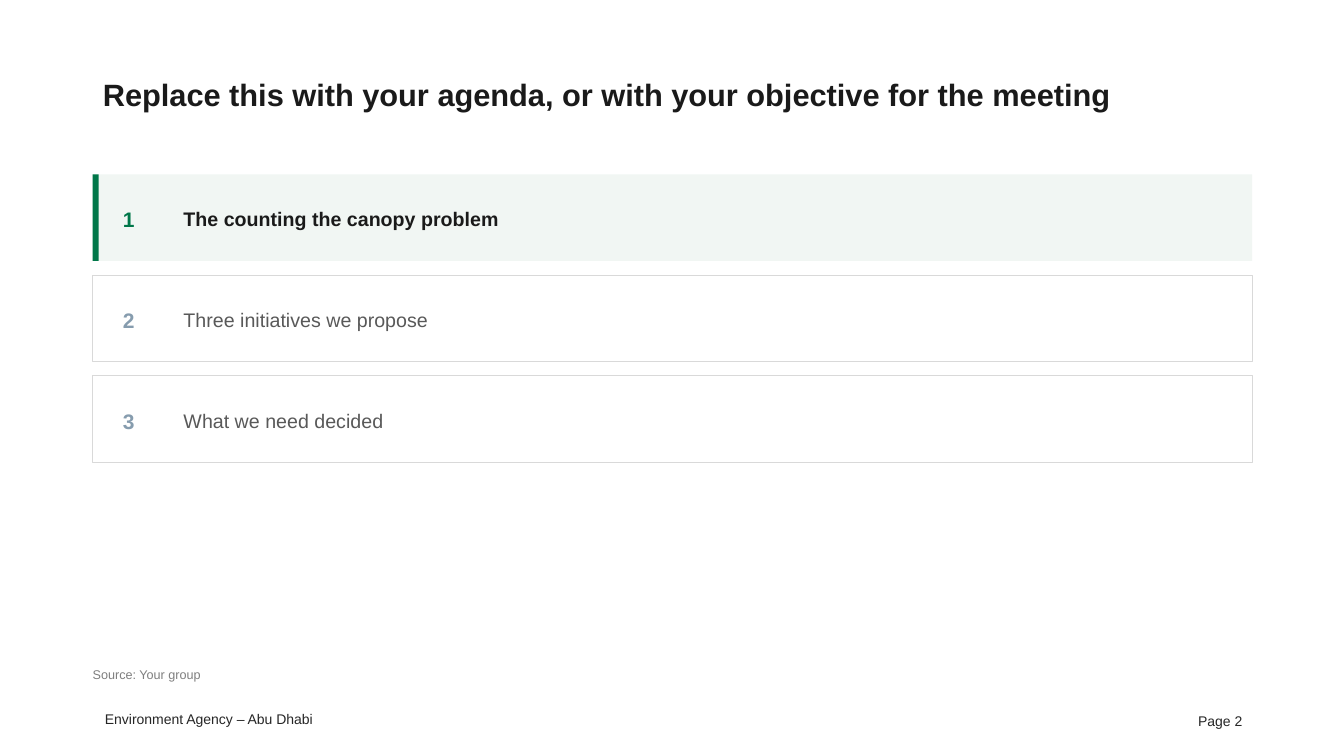
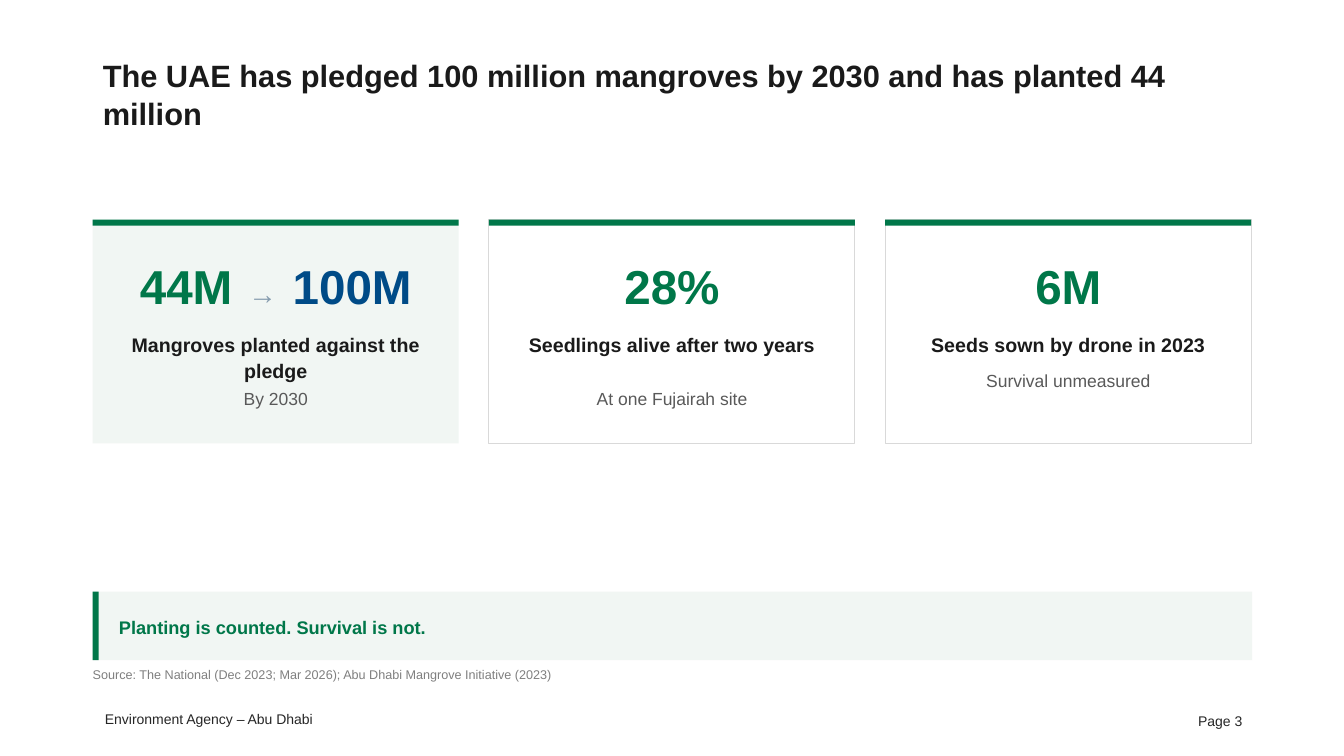
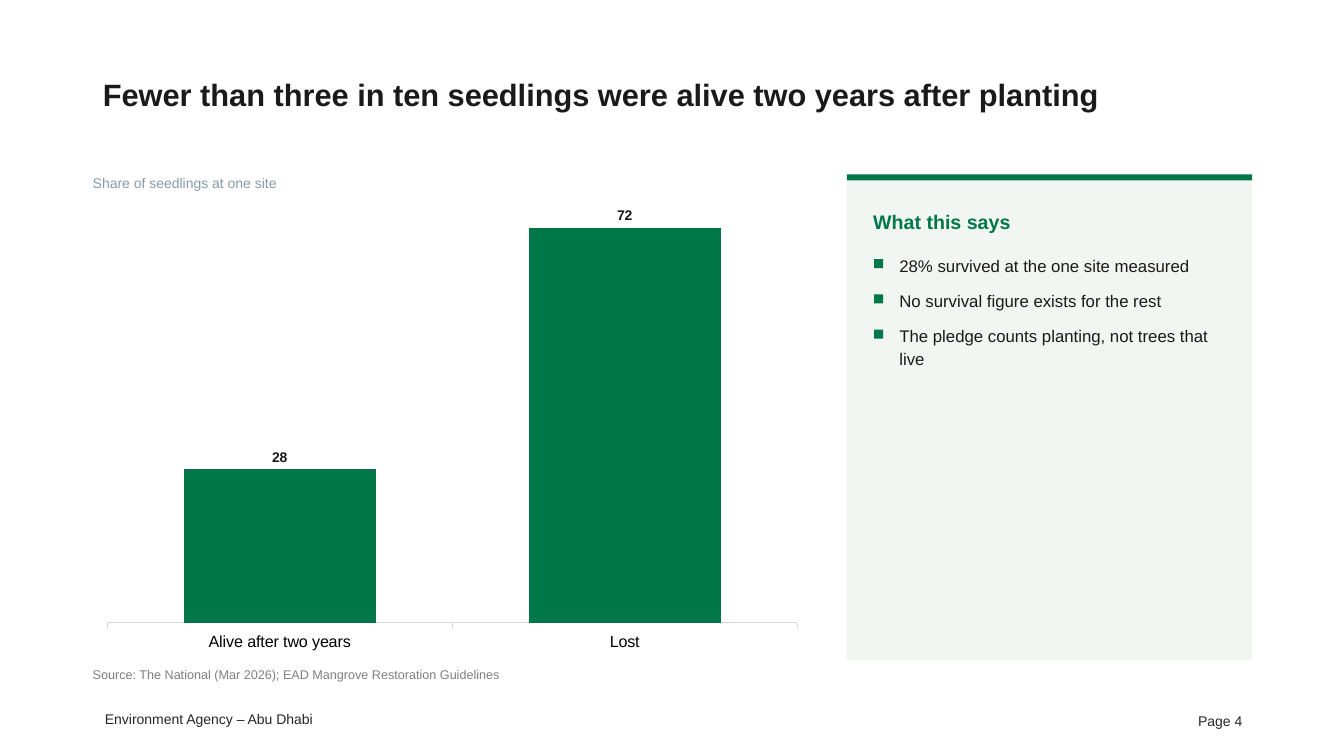
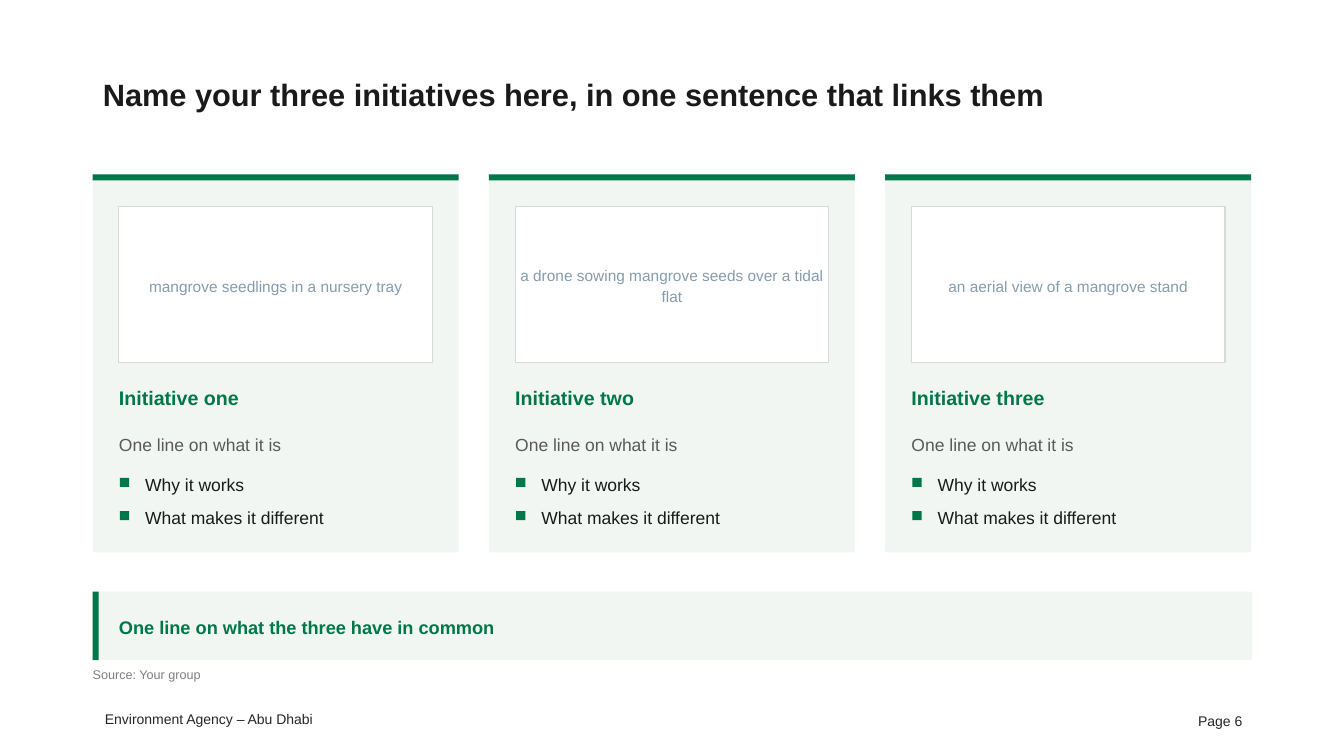
from collections.abc import Sequence
from dataclasses import dataclass
from typing import NamedTuple

from pptx import Presentation
from pptx.chart.data import CategoryChartData
from pptx.dml.color import RGBColor
from pptx.enum.chart import XL_CHART_TYPE, XL_LABEL_POSITION, XL_TICK_LABEL_POSITION, XL_TICK_MARK
from pptx.enum.shapes import MSO_SHAPE
from pptx.enum.text import MSO_ANCHOR, PP_ALIGN
from pptx.presentation import Presentation as Deck
from pptx.slide import Slide
from pptx.text.text import TextFrame
from pptx.util import Emu, Pt

EMU_PER_PX = 9144  # 100 px to the inch


@dataclass(frozen=True)
class Theme:
    font: str = "Arial"
    # Colours
    green: str = "007749"
    blue: str = "004B87"
    tint: str = "F1F6F3"
    white: str = "FFFFFF"
    black: str = "000000"
    ink: str = "1A1A1A"
    footer_ink: str = "262626"
    grey: str = "595959"
    source_grey: str = "7F7F7F"
    slate: str = "869CAE"
    rule: str = "D9D9D9"
    # Type sizes in points
    title: float = 22
    figure: float = 34
    arrow: float = 20.4
    number: float = 15
    heading: float = 14
    takeaway: float = 13
    body: float = 12.5
    point: float = 12
    category: float = 11.5
    caption: float = 11
    small: float = 10
    source: float = 9


THEME = Theme()


class Box(NamedTuple):
    left: int
    top: int
    width: int
    height: int

    def emu(self) -> tuple[Emu, ...]:
        return tuple(Emu(length * EMU_PER_PX) for length in self)


class Run(NamedTuple):
    text: str
    color: str
    size: float
    bold: bool
    tracking: int = 0  # hundredths of a point


class AgendaItem(NamedTuple):
    text: str
    current: bool = False


class Stat(NamedTuple):
    figure: str | tuple[Run, ...]
    label: str
    note: str
    label_height: int
    highlighted: bool = False


class Initiative(NamedTuple):
    name: str
    picture_hint: str


# Shared layout
LEFT, WIDTH = 92, 1150
BODY_TOP, BODY_HEIGHT = 173, 482
ACCENT = 6
PADDING = 26
CARD_GAP = 30
CARD_WIDTH = (WIDTH - 2 * CARD_GAP) // 3


def rgb(color: str) -> RGBColor:
    return RGBColor.from_string(color)


def write(frame: TextFrame, content: Sequence[str | tuple[Run, ...]], *,
          size: float = THEME.body, color: str = THEME.ink, bold: bool = False,
          align: PP_ALIGN = PP_ALIGN.LEFT, anchor: MSO_ANCHOR = MSO_ANCHOR.TOP,
          line_spacing: float = 1.12, after: float = 3,
          inset: tuple[int, int] = (0, 0), wrap: bool = True) -> None:
    """Fill a frame with one paragraph per item; inset is (sides, top and bottom)."""
    frame.word_wrap = wrap
    frame.vertical_anchor = anchor
    frame.margin_left = frame.margin_right = Emu(inset[0] * EMU_PER_PX)
    frame.margin_top = frame.margin_bottom = Emu(inset[1] * EMU_PER_PX)
    for index, item in enumerate(content):
        paragraph = frame.add_paragraph() if index else frame.paragraphs[0]
        paragraph.alignment = align
        paragraph.line_spacing = line_spacing
        paragraph.space_after = Pt(after)
        runs = (Run(item, color, size, bold),) if isinstance(item, str) else item
        for part in runs:
            run = paragraph.add_run()
            run.text = part.text
            run.font.name = THEME.font
            run.font.size = Pt(part.size)
            run.font.bold = part.bold
            run.font.color.rgb = rgb(part.color)
            if part.tracking:
                run._r.get_or_add_rPr().set("spc", str(part.tracking))


def add_text(slide: Slide, box: Box, *content: str | tuple[Run, ...], **text_format) -> None:
    write(slide.shapes.add_textbox(*box.emu()).text_frame, content, **text_format)


def add_rect(slide: Slide, box: Box, fill: str, line: str | None = None) -> None:
    rect = slide.shapes.add_shape(MSO_SHAPE.RECTANGLE, *box.emu())
    rect.shadow.inherit = False
    rect.fill.solid()
    rect.fill.fore_color.rgb = rgb(fill)
    if line:
        rect.line.color.rgb = rgb(line)
        rect.line.width = Pt(0.75)
    else:
        rect.line.fill.background()


def add_points(slide: Slide, first: Box, pitch: int, points: Sequence[str], size: float) -> None:
    """Stack points below each other, each behind a green square."""
    for index, point in enumerate(points):
        row = first._replace(top=first.top + index * pitch)
        add_rect(slide, Box(row.left + 1, row.top + 6, 9, 9), THEME.green)
        add_text(slide, row._replace(left=row.left + PADDING, width=row.width - PADDING), point,
                 size=size)


def add_panel(slide: Slide, box: Box, highlighted: bool = True) -> None:
    if highlighted:
        add_rect(slide, box, THEME.tint)
    else:
        add_rect(slide, box, THEME.white, THEME.rule)


def add_top_card(slide: Slide, box: Box, highlighted: bool = True) -> None:
    add_panel(slide, box, highlighted)
    add_rect(slide, box._replace(height=ACCENT), THEME.green)


def add_side_band(slide: Slide, box: Box) -> None:
    add_panel(slide, box)
    add_rect(slide, box._replace(width=ACCENT), THEME.green)


def add_takeaway(slide: Slide, message: str) -> None:
    band = Box(LEFT, 587, WIDTH, 68)
    add_side_band(slide, band)
    add_text(slide, band._replace(left=LEFT + PADDING, width=WIDTH - 2 * PADDING), message,
             size=THEME.takeaway, color=THEME.green, bold=True, anchor=MSO_ANCHOR.MIDDLE)


def card_left(index: int) -> int:
    return LEFT + index * (CARD_WIDTH + CARD_GAP)


def add_page(deck: Deck, title: str, page: int, source: str) -> Slide:
    """Add a slide with its title, source line and footer."""
    slide = deck.slides.add_slide(deck.slide_layouts[5])
    heading = slide.shapes.title
    heading.left, heading.top, heading.width, heading.height = Box(LEFT, 40, WIDTH, 105).emu()
    write(heading.text_frame, [title], size=THEME.title, bold=True, anchor=MSO_ANCHOR.MIDDLE,
          line_spacing=1.05, after=0, inset=(10, 5))
    add_text(slide, Box(LEFT, 660, 840, 22), f"Source: {source}",
             size=THEME.source, color=THEME.source_grey)
    footer = dict(size=THEME.small, color=THEME.footer_ink, align=PP_ALIGN.RIGHT,
                  line_spacing=1.0, after=0, inset=(10, 5))
    add_text(slide, Box(91, 700, 229, 27), "Environment Agency – Abu Dhabi", wrap=False, **footer)
    add_text(slide, Box(942, 695, 300, 40), f"Page {page}", anchor=MSO_ANCHOR.MIDDLE, **footer)
    return slide


def build_agenda(deck: Deck) -> None:
    slide = add_page(deck, "Replace this with your agenda, or with your objective for the meeting",
                     2, "Your group")
    items = (AgendaItem("The counting the canopy problem", current=True),
             AgendaItem("Three initiatives we propose"),
             AgendaItem("What we need decided"))
    for index, item in enumerate(items):
        row = Box(LEFT, BODY_TOP + index * 100, WIDTH, 86)
        if item.current:
            add_side_band(slide, row)
        else:
            add_panel(slide, row, highlighted=False)
        add_text(slide, row._replace(left=LEFT + 30, width=50), str(index + 1),
                 size=THEME.number, color=THEME.green if item.current else THEME.slate,
                 bold=True, anchor=MSO_ANCHOR.MIDDLE)
        add_text(slide, row._replace(left=LEFT + 90, width=1030), item.text,
                 size=THEME.heading, color=THEME.ink if item.current else THEME.grey,
                 bold=item.current, anchor=MSO_ANCHOR.MIDDLE)


def build_pledge(deck: Deck) -> None:
    slide = add_page(
        deck, "The UAE has pledged 100 million mangroves by 2030 and has planted 44 million", 3,
        "The National (Dec 2023; Mar 2026); Abu Dhabi Mangrove Initiative (2023)")
    gap = Run(" ", THEME.slate, THEME.figure, False, tracking=190)
    progress = (Run("44M", THEME.green, THEME.figure, True), gap,
                Run("→", THEME.slate, THEME.arrow, False), gap,
                Run("100M", THEME.blue, THEME.figure, True))
    stats = (Stat(progress, "Mangroves planted against the pledge", "By 2030", 47,
                  highlighted=True),
             Stat("28%", "Seedlings alive after two years", "At one Fujairah site", 47),
             Stat("6M", "Seeds sown by drone in 2023", "Survival unmeasured", 30))
    for index, stat in enumerate(stats):
        card = Box(card_left(index), 218, CARD_WIDTH, 222)
        add_top_card(slide, card, stat.highlighted)
        add_text(slide, Box(card.left + 16, 248, CARD_WIDTH - 32, 71), stat.figure,
                 size=THEME.figure, color=THEME.green, bold=True, align=PP_ALIGN.CENTER,
                 anchor=MSO_ANCHOR.MIDDLE, line_spacing=1.0, after=0)
        label = Box(card.left + 22, 327, CARD_WIDTH - 44, stat.label_height)
        add_text(slide, label, stat.label, size=THEME.heading, bold=True, align=PP_ALIGN.CENTER)
        add_text(slide, label._replace(top=label.top + label.height + 8, height=24), stat.note,
                 color=THEME.grey, align=PP_ALIGN.CENTER)
    add_takeaway(slide, "Planting is counted. Survival is not.")


def add_survival_chart(slide: Slide, box: Box) -> None:
    survival = CategoryChartData()
    survival.categories = ("Alive after two years", "Lost")
    survival.add_series("Series 1", (28, 72))
    chart = slide.shapes.add_chart(XL_CHART_TYPE.COLUMN_CLUSTERED, *box.emu(), survival).chart
    chart.has_title = False
    chart.has_legend = False
    chart.font.name = THEME.font
    chart.font.size = Pt(THEME.category)
    chart.font.color.rgb = rgb(THEME.black)
    # Axes
    shares = chart.value_axis
    shares.visible = False
    shares.has_major_gridlines = False
    shares.minimum_scale, shares.maximum_scale = 0, 80
    outcomes = chart.category_axis
    outcomes.major_tick_mark = XL_TICK_MARK.OUTSIDE
    outcomes.tick_label_position = XL_TICK_LABEL_POSITION.LOW
    outcomes.format.line.color.rgb = rgb(THEME.rule)
    outcomes.format.line.width = Pt(0.75)
    # Columns and their labels
    plot = chart.plots[0]
    plot.gap_width = 80
    plot.vary_by_categories = False
    columns = plot.series[0]
    columns.format.fill.solid()
    columns.format.fill.fore_color.rgb = rgb(THEME.green)
    labels = columns.data_labels
    labels.show_value = True
    labels.position = XL_LABEL_POSITION.OUTSIDE_END
    labels.font.name = THEME.font
    labels.font.size = Pt(THEME.small)
    labels.font.bold = True
    labels.font.color.rgb = rgb(THEME.ink)


def build_survival(deck: Deck) -> None:
    slide = add_page(deck, "Fewer than three in ten seedlings were alive two years after planting",
                     4, "The National (Mar 2026); EAD Mangrove Restoration Guidelines")
    chart_area = Box(LEFT, BODY_TOP, 713, BODY_HEIGHT)
    add_survival_chart(slide, chart_area)
    add_text(slide, chart_area._replace(top=171, height=24), "Share of seedlings at one site",
             size=THEME.small, color=THEME.slate)
    # Reading of the chart
    panel = Box(840, BODY_TOP, 402, BODY_HEIGHT)
    add_top_card(slide, panel)
    heading = Box(panel.left + PADDING, 205, panel.width - 2 * PADDING, 30)
    add_text(slide, heading, "What this says",
             size=THEME.heading, color=THEME.green, bold=True)
    findings = ("28% survived at the one site measured",
                "No survival figure exists for the rest",
                "The pledge counts planting, not trees that live")
    add_points(slide, heading._replace(top=251, height=20), 35, findings, THEME.point)


def build_initiatives(deck: Deck) -> None:
    slide = add_page(deck, "Name your three initiatives here, in one sentence that links them",
                     6, "Your group")
    initiatives = (
        Initiative("Initiative one", "mangrove seedlings in a nursery tray"),
        Initiative("Initiative two", "a drone sowing mangrove seeds over a tidal flat"),
        Initiative("Initiative three", "an aerial view of a mangrove stand"))
    for index, initiative in enumerate(initiatives):
        card = Box(card_left(index), BODY_TOP, CARD_WIDTH, 375)
        add_top_card(slide, card)
        picture_area = Box(card.left + PADDING, 205, CARD_WIDTH - 2 * PADDING, 155)
        add_rect(slide, picture_area, THEME.white, THEME.rule)
        add_text(slide, picture_area, initiative.picture_hint, size=THEME.caption,
                 color=THEME.slate, align=PP_ALIGN.CENTER, anchor=MSO_ANCHOR.MIDDLE)
        add_text(slide, picture_area._replace(top=380, height=32), initiative.name,
                 size=THEME.heading, color=THEME.green, bold=True)
        add_text(slide, picture_area._replace(top=428, height=26), "One line on what it is",
                 color=THEME.grey)
        add_points(slide, picture_area._replace(top=468, height=21), 33,
                   ("Why it works", "What makes it different"), THEME.body)
    add_takeaway(slide, "One line on what the three have in common")


def main() -> None:
    deck = Presentation()
    deck.slide_width, deck.slide_height = Emu(1333 * EMU_PER_PX), Emu(750 * EMU_PER_PX)
    for build in (build_agenda, build_pledge, build_survival, build_initiatives):
        build(deck)
    deck.save("out.pptx")


if __name__ == "__main__":
    main()
